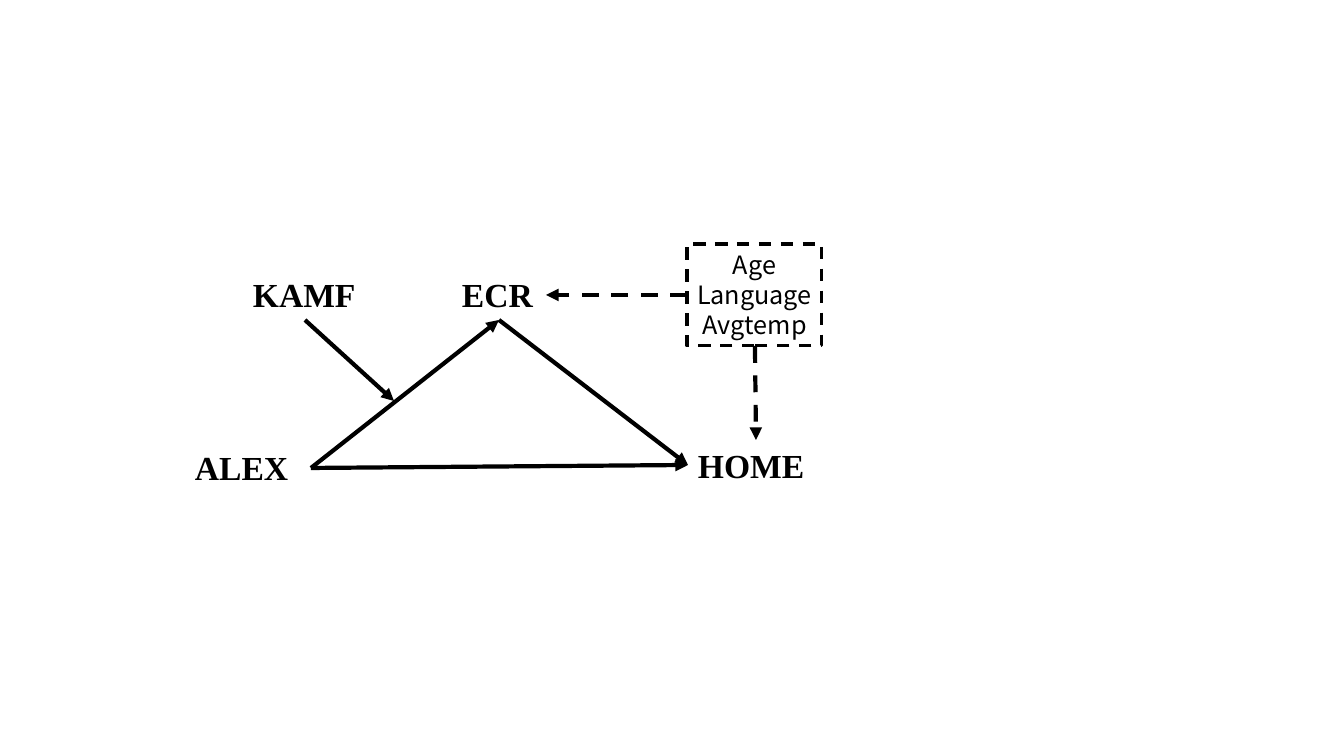
from dataclasses import dataclass

from lxml.etree import SubElement
from pptx import Presentation
from pptx.dml.color import RGBColor
from pptx.enum.dml import MSO_LINE
from pptx.enum.shapes import MSO_CONNECTOR, MSO_SHAPE
from pptx.enum.text import MSO_ANCHOR, PP_ALIGN
from pptx.oxml.ns import qn
from pptx.slide import Slide
from pptx.util import Emu, Pt

COLORS = {"ink": "000000"}
INK = RGBColor.from_string(COLORS["ink"])
LABEL_FONT = "Times New Roman"
CONTROL_FONT = "Noto Sans CJK SC"
EMU_PER_PIXEL = 914400 / 100.8


@dataclass(frozen=True)
class Variable:
    """A bold variable name and the box that holds it."""
    name: str
    left: int
    top: int
    width: int
    height: int = 50


@dataclass(frozen=True)
class Arrow:
    """A path between two points; dashed for control variables."""
    start: tuple[int, int]
    end: tuple[int, int]
    dashed: bool = False


def px(pixels: int) -> Emu:
    """Turn pixels into EMU."""
    return Emu(round(pixels * EMU_PER_PIXEL))


def add_span(para, text: str, font: str, size: int, bold: bool = False) -> None:
    """Add one formatted run to a paragraph."""
    span = para.add_run()
    span.text = text
    span.font.name = font
    span.font.size = Pt(size)
    span.font.bold = bold
    span.font.color.rgb = INK


def add_variable(page: Slide, variable: Variable) -> None:
    """Draw a variable name."""
    box = page.shapes.add_textbox(px(variable.left), px(variable.top),
                                  px(variable.width), px(variable.height))
    box.text_frame.word_wrap = True
    add_span(box.text_frame.paragraphs[0], variable.name, LABEL_FONT, 24, True)


def add_controls(page: Slide, names: list[str], left: int, top: int,
                 width: int, height: int) -> None:
    """Draw the dashed box listing the control variables."""
    box = page.shapes.add_shape(MSO_SHAPE.RECTANGLE, px(left), px(top),
                                px(width), px(height))
    box.shadow.inherit = False
    box.fill.background()
    box.line.color.rgb = INK
    box.line.width = Pt(2.25)
    box.line.dash_style = MSO_LINE.DASH
    frame = box.text_frame
    frame.word_wrap = True
    frame.vertical_anchor = MSO_ANCHOR.TOP
    for index, name in enumerate(names):
        para = frame.add_paragraph() if index else frame.paragraphs[0]
        para.alignment = PP_ALIGN.CENTER
        para.line_spacing = Pt(21.6)
        add_span(para, name, CONTROL_FONT, 18)


def add_arrow(page: Slide, arrow: Arrow) -> None:
    """Draw an arrow with a triangular head at its end."""
    line = page.shapes.add_connector(MSO_CONNECTOR.STRAIGHT,
                                     *map(px, arrow.start + arrow.end))
    line.line.color.rgb = INK
    line.line.width = Pt(3)
    if arrow.dashed:
        line.line.dash_style = MSO_LINE.DASH
    SubElement(line.line._get_or_add_ln(), qn("a:tailEnd"), type="triangle")
    SubElement(line._element.spPr, qn("a:effectLst"))


VARIABLES = [
    Variable("KAMF", 243, 269, 126),
    Variable("ALEX", 185, 442, 126),
    Variable("ECR", 452, 269, 95),
    Variable("HOME", 688, 440, 135),
]
ALEX, ECR, HOME = (311, 468), (499, 320), (688, 465)
ARROWS = [
    Arrow((305, 320), (394, 401)),
    Arrow(ALEX, ECR),
    Arrow(ECR, HOME),
    Arrow(ALEX, HOME),
    Arrow((687, 295), (546, 295), dashed=True),
    Arrow((755, 346), (756, 440), dashed=True),
]

deck = Presentation()
deck.slide_width, deck.slide_height = px(1344), px(756)
page = deck.slides.add_slide(deck.slide_layouts[6])
for variable in VARIABLES:
    add_variable(page, variable)
add_controls(page, ["Age", "Language", "Avgtemp"], 687, 244, 135, 102)
for arrow in ARROWS:
    add_arrow(page, arrow)
deck.save("out.pptx")
